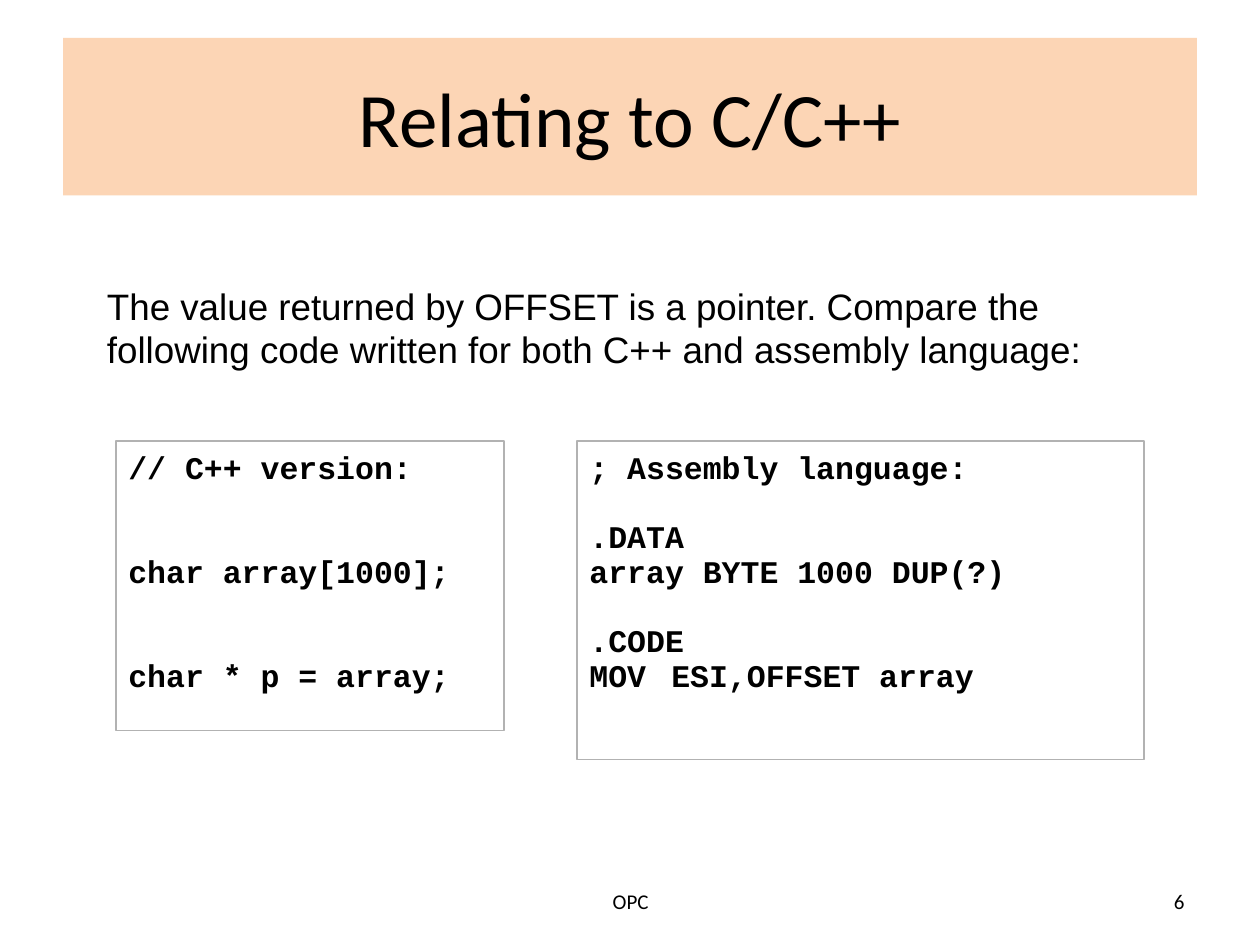
import pptx
import pptx.util
import pptx.dml.color
import pptx.enum.shapes
import pptx.enum.text
import pptx.oxml
import pptx.oxml.ns

Inches = pptx.util.Inches
Pt = pptx.util.Pt
Align = pptx.enum.text.PP_ALIGN
Anchor = pptx.enum.text.MSO_ANCHOR

BLACK = pptx.dml.color.RGBColor(0x00, 0x00, 0x00)
PEACH = pptx.dml.color.RGBColor(0xFC, 0xD5, 0xB5)
GRAY = pptx.dml.color.RGBColor(0xB2, 0xB2, 0xB2)


def write_text(paragraph, text, font="Calibri", size=12, bold=False,
               align=Align.LEFT, line=None, before=0):
    paragraph.alignment = align
    paragraph.space_before = Pt(before)
    if line:
        paragraph.line_spacing = Pt(line)
    run = paragraph.add_run()
    run.text = text
    run.font.name = font
    run.font.size = Pt(size)
    run.font.bold = bold
    run.font.color.rgb = BLACK


def add_tab_stop(paragraph, position):
    tabs = pptx.oxml.parse_xml(
        f'<a:tabLst {pptx.oxml.ns.nsdecls("a")}>'
        f'<a:tab pos="{position}" algn="l"/></a:tabLst>')
    paragraph._p.get_or_add_pPr().append(tabs)


class SlideBuilder:
    code_line = 19.8

    def __init__(self, presentation):
        self.slide = presentation.slides.add_slide(presentation.slide_layouts[5])

    def place(self, shape, left, top, width, height):
        shape.left, shape.top = Inches(left), Inches(top)
        shape.width, shape.height = Inches(width), Inches(height)

    def title(self, text, *box):
        title = self.slide.shapes.title
        self.place(title, *box)
        title.fill.solid()
        title.fill.fore_color.rgb = PEACH
        title.text_frame.vertical_anchor = Anchor.MIDDLE
        write_text(title.text_frame.paragraphs[0], text, size=44, align=Align.CENTER)

    def text(self, text, *box, anchor=Anchor.MIDDLE, inset=0.05, **style):
        shape = self.slide.shapes.add_textbox(*map(Inches, box))
        frame = shape.text_frame
        frame.word_wrap = True
        frame.vertical_anchor = anchor
        frame.margin_top = Inches(inset)
        write_text(frame.paragraphs[0], text, **style)

    def code(self, lines, *box):
        shape = self.slide.shapes.add_shape(
            pptx.enum.shapes.MSO_SHAPE.RECTANGLE, *map(Inches, box))
        shape.shadow.inherit = False
        shape.fill.background()
        shape.line.color.rgb = GRAY
        shape.line.width = Pt(0.75)
        frame = shape.text_frame
        frame.word_wrap = True
        frame.vertical_anchor = Anchor.TOP
        frame.margin_top = Inches(0.08)
        for index, (gap, text) in enumerate(lines):
            paragraph = frame.add_paragraph() if index else frame.paragraphs[0]
            write_text(paragraph, text, font="Courier New", size=18, bold=True,
                       line=self.code_line, before=gap * self.code_line)
            if "\t" in text:
                add_tab_stop(paragraph, Inches(0.5))


presentation = pptx.Presentation()
presentation.slide_width = Inches(10)
presentation.slide_height = Inches(7.5)

builder = SlideBuilder(presentation)
builder.title("Relating to C/C++", 0.5, 0.3, 9, 1.25)
builder.text("OPC", 3.42, 6.95, 3.17, 0.4, align=Align.CENTER)
builder.text("6", 7.17, 6.95, 2.33, 0.4, align=Align.RIGHT)
builder.code([(0, "// C++ version:"),
              (2, "char array[1000];"),
              (2, "char * p = array;")], 0.92, 3.5, 3.08, 2.3)
builder.text("The value returned by OFFSET is a pointer. Compare the following "
             "code written for both C++ and assembly language:",
             0.75, 2.08, 8.42, 1, anchor=Anchor.TOP, inset=0.17,
             font="Arial", size=21, line=25.1)
builder.code([(0, "; Assembly language:"),
              (1, ".DATA"),
              (0, "array BYTE 1000 DUP(?)"),
              (1, ".CODE"),
              (0, "MOV\t ESI,OFFSET array")], 4.58, 3.5, 4.5, 2.53)

presentation.save("out.pptx")
